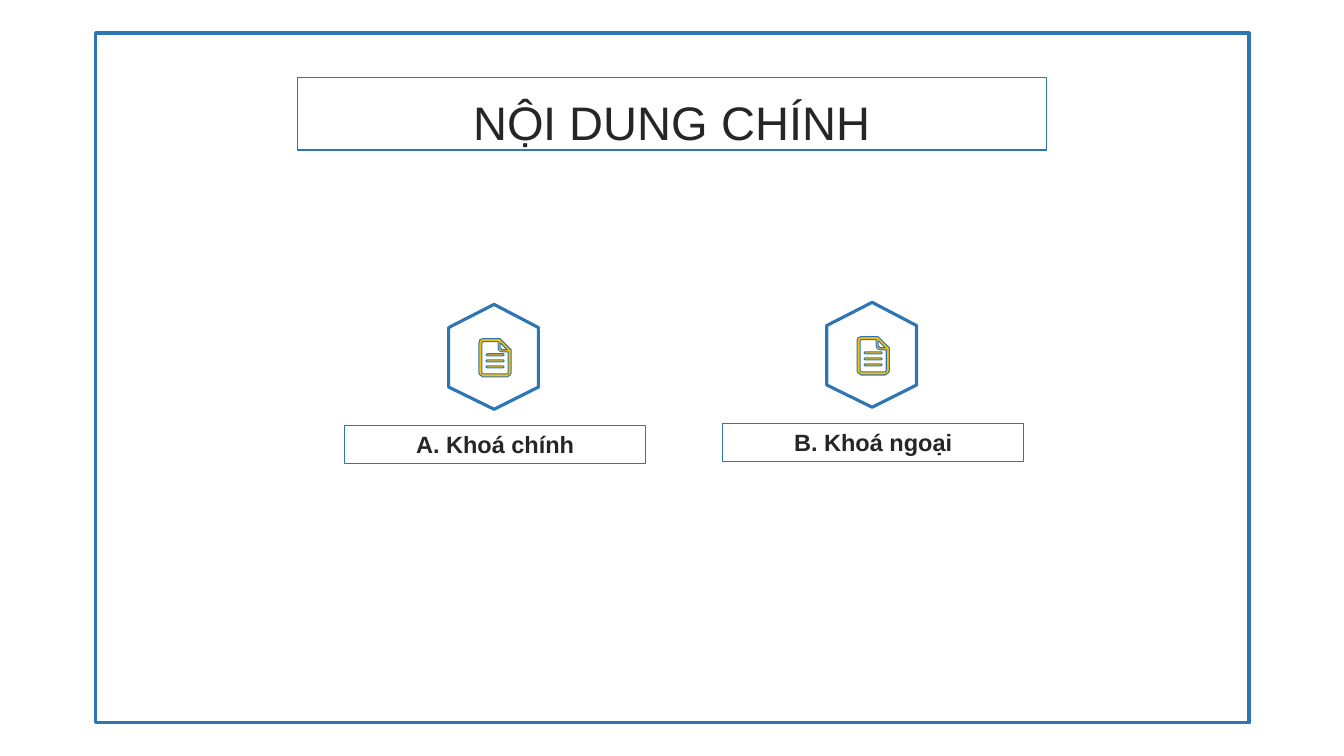
import pptx
import pptx.util
import pptx.dml.color
import pptx.enum.shapes
import pptx.enum.text
import pptx.oxml.ns
import lxml.etree

BLUE = pptx.dml.color.RGBColor(0x2E, 0x75, 0xB6)
GOLD = pptx.dml.color.RGBColor(0xF8, 0xC0, 0x02)
INK = pptx.dml.color.RGBColor(0x26, 0x26, 0x26)

HEXAGON = [[(45, 0), (89, 23), (89, 82), (45, 104), (0, 82), (0, 23)]]
PAGE_EDGE = [(4, 0), (21, 0), (32, 11), (32, 34), (31, 36), (28, 38),
             (4, 38), (1, 36), (0, 34), (0, 4), (1, 1)]
PAGE_FOLD = [(21, 4), (28, 11), (23, 11), (21, 9)]
PAGE_INSIDE = [(4, 3), (19, 3), (19, 9), (20, 12), (23, 13), (29, 13),
               (29, 34), (28, 35), (4, 35), (3, 34), (3, 4)]
PAGE_LINES = [[(8, y), (24, y), (25, y + 1), (24, y + 2), (8, y + 2), (7, y + 1)]
              for y in (15, 21, 27)]
DOCUMENT = [PAGE_EDGE, PAGE_FOLD, PAGE_INSIDE, *PAGE_LINES]


def write_text(shape, text, size, bold=False, spacing=None):
    frame = shape.text_frame
    frame.word_wrap = True
    frame.vertical_anchor = pptx.enum.text.MSO_ANCHOR.TOP
    frame.auto_size = pptx.enum.text.MSO_AUTO_SIZE.SHAPE_TO_FIT_TEXT
    paragraph = frame.paragraphs[0]
    paragraph.alignment = pptx.enum.text.PP_ALIGN.CENTER
    if spacing:
        paragraph.line_spacing = spacing
    run = paragraph.add_run()
    run.text = text
    run.font.name = "Arial"
    run.font.size = pptx.util.Pt(size)
    run.font.bold = bold
    run.font.color.rgb = INK


class ContentsSlide:
    def __init__(self, slide, line_color=BLUE):
        self.slide = slide
        self.line_color = line_color

    def style(self, shape, weight, fill=None):
        shape.shadow.inherit = False
        if fill is None:
            shape.fill.background()
        else:
            shape.fill.solid()
            shape.fill.fore_color.rgb = fill
        shape.line.color.rgb = self.line_color
        shape.line.width = pptx.util.Pt(weight)
        outline = shape.line._get_or_add_ln()
        lxml.etree.SubElement(outline, pptx.oxml.ns.qn("a:round"))

    def box(self, left, top, width, height, weight):
        shape = self.slide.shapes.add_shape(
            pptx.enum.shapes.MSO_SHAPE.RECTANGLE,
            pptx.util.Inches(left), pptx.util.Inches(top),
            pptx.util.Inches(width), pptx.util.Inches(height))
        self.style(shape, weight)
        return shape

    def outline(self, shapes, contours, left, top, weight, fill=None):
        first, *others = contours
        builder = shapes.build_freeform(*first[0], scale=pptx.util.Inches(0.01))
        builder.add_line_segments(first[1:], close=True)
        for contour in others:
            builder.move_to(*contour[0])
            builder.add_line_segments(contour[1:], close=True)
        shape = builder.convert_to_shape(pptx.util.Inches(left), pptx.util.Inches(top))
        self.style(shape, weight, fill)

    def topic(self, text, left, top):
        label = self.box(left, top, 2.98, 0.38, 0.75)
        write_text(label, text, size=16.8, bold=True)
        badge = self.slide.shapes.add_group_shape()
        self.outline(badge.shapes, HEXAGON, left + 1.03, top - 1.2, 2.25)
        self.outline(badge.shapes, DOCUMENT, left + 1.33, top - 0.86, 0.75, GOLD)


def main():
    presentation = pptx.Presentation()
    presentation.slide_width = pptx.util.Inches(13.33)
    presentation.slide_height = pptx.util.Inches(7.5)
    contents = ContentsSlide(presentation.slides.add_slide(presentation.slide_layouts[6]))

    heading = contents.box(2.95, 0.77, 7.43, 0.72, 1)
    write_text(heading, "NỘI DUNG CHÍNH", size=33.6, spacing=1.2)
    contents.box(0.95, 0.33, 11.44, 6.84, 2.5)
    contents.topic("B. Khoá ngoại", 7.17, 4.2)
    contents.topic("A. Khoá chính", 3.42, 4.22)

    presentation.save("out.pptx")


if __name__ == "__main__":
    main()
